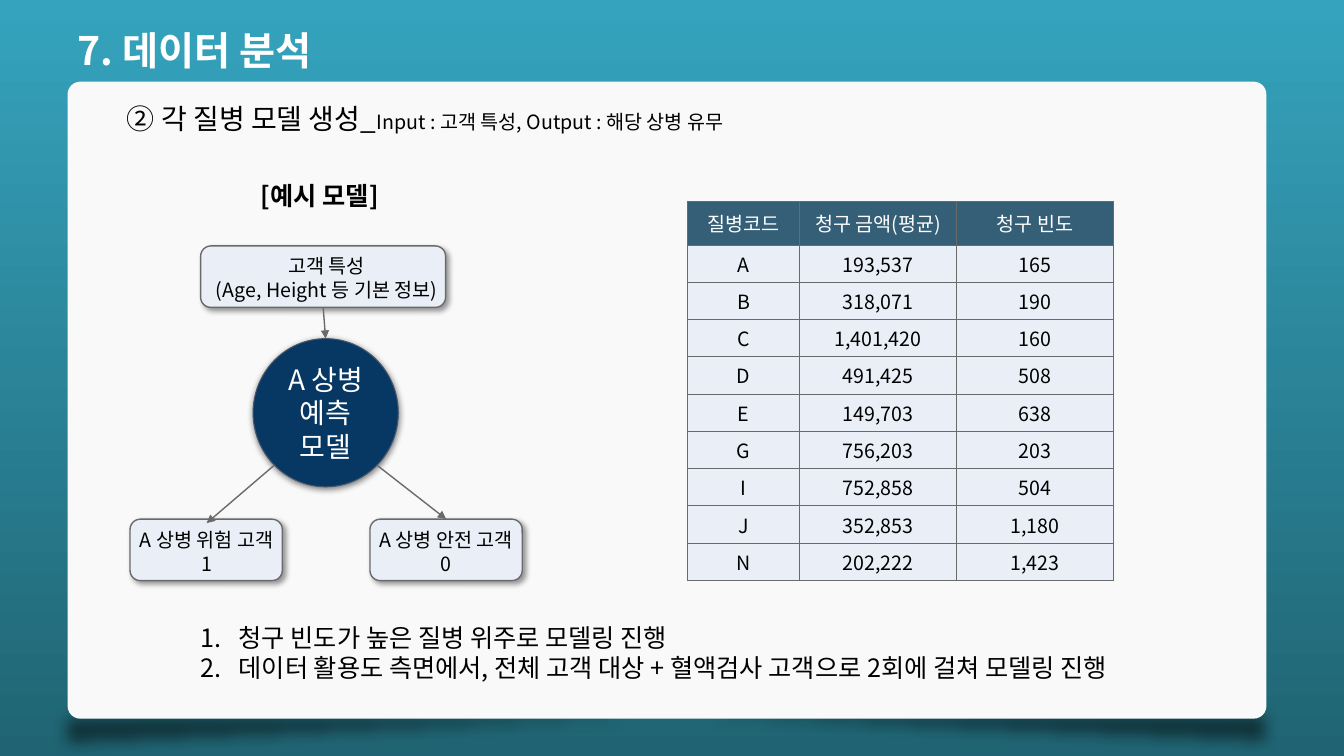
"""Builds the data analysis slide: an example disease model beside a table of claims."""
from lxml import etree
from pptx import Presentation
from pptx.dml.color import RGBColor
from pptx.enum.shapes import MSO_CONNECTOR, MSO_SHAPE
from pptx.enum.text import MSO_ANCHOR, MSO_AUTO_SIZE, PP_ALIGN
from pptx.oxml import parse_xml
from pptx.oxml.ns import nsdecls, qn
from pptx.util import Inches, Pt

FONT = "Noto Sans CJK KR"
COLORS = {name: RGBColor.from_string(value) for name, value in {
    "sky": "35A3BD", "deep": "206473", "card": "F9F9F9", "pale": "EAEFF7",
    "grey": "6A6A6A", "slate": "44546A", "navy": "073763", "header": "355F77",
    "black": "000000", "white": "FFFFFF"}.items()}

deck = Presentation()
deck.slide_width, deck.slide_height = Inches(13.33), Inches(7.5)
slide = deck.slides.add_slide(deck.slide_layouts[5])
shapes = slide.shapes


def share(left, top, width, height):
    """Turn percentages of the slide's size into lengths."""
    across, down = deck.slide_width / 100, deck.slide_height / 100
    return [round(n) for n in (left * across, top * down, width * across, height * down)]


def write(frame, paragraphs, color="black", bold=False, align=PP_ALIGN.LEFT):
    """Fill a text frame with paragraphs, each a list of (text, size) runs."""
    frame.word_wrap = True
    for index, runs in enumerate(paragraphs):
        paragraph = frame.add_paragraph() if index else frame.paragraphs[0]
        paragraph.alignment = align
        for text, size in runs:
            run = paragraph.add_run()
            run.text = text
            run.font.size, run.font.bold, run.font.name = Pt(size), bold, FONT
            run.font.color.rgb = COLORS[color]
            etree.SubElement(run.font._element, qn("a:ea"), typeface=FONT)


backdrop = slide.background.fill
backdrop.gradient()
backdrop.gradient_angle = 270
for stop, tone, position in zip(backdrop.gradient_stops, ("sky", "deep"), (0, 1)):
    stop.color.rgb, stop.position = COLORS[tone], position

SOFT = '<a:softEdge rad="127000"/>'
SHADOW = ('<a:outerShdw blurRad="{}" dist="{}" dir="{}" algn="bl" rotWithShape="0">'
          '<a:srgbClr val="000000"><a:alpha val="{}"/></a:srgbClr></a:outerShdw>')
BOX_SHADOW = SHADOW.format(Pt(4), Pt(3), 45 * 60000, 40000)
CIRCLE_SHADOW = SHADOW.format(Pt(4.5), Pt(1.5), 90 * 60000, 50000)

ROUND = MSO_SHAPE.ROUNDED_RECTANGLE
drawn = []
for kind, area, fill, line, weight, effect in (
        (MSO_SHAPE.RIGHT_TRIANGLE, (4.88, 93.07, 90.17, 6.67), "black", None, 0, SOFT),
        (MSO_SHAPE.RIGHT_TRIANGLE, (4.05, 93.33, 90.17, 6.67), "black", None, 0, SOFT),
        (ROUND, (5.03, 10.8, 89.2, 84.27), "card", None, 0, ""),
        (ROUND, (9.68, 68.67, 11.33, 8.13), "pale", "grey", 1, BOX_SHADOW),
        (ROUND, (27.53, 68.67, 11.33, 8.13), "pale", "grey", 1, BOX_SHADOW),
        (ROUND, (14.93, 32.53, 18.23, 8.13), "pale", "grey", 1, BOX_SHADOW),
        (MSO_SHAPE.OVAL, (18.83, 44.8, 10.8, 19.6), "navy", "slate", 0.75, CIRCLE_SHADOW)):
    shape = shapes.add_shape(kind, *share(*area))
    shape.fill.solid()
    shape.fill.fore_color.rgb = COLORS[fill]
    if line:
        shape.line.color.rgb, shape.line.width = COLORS[line], Pt(weight)
    else:
        shape.line.fill.background()
    shape.shadow.inherit = False
    if effect:
        shape._element.spPr.find(qn("a:effectLst")).append(
            parse_xml(effect.replace(" ", f" {nsdecls('a')} ", 1)))
    drawn.append(shape)
right_shade, left_shade, card, risk_box, safe_box, traits_box, model = drawn

card.adjustments[0] = 0.02
right_shade._element.spPr.xfrm.set("flipH", "1")
for shade in (right_shade, left_shade):
    shade._element.spPr.xfrm.set("flipV", "1")
    shade_color = shade._element.spPr.find(qn("a:solidFill"))[0]
    etree.SubElement(shade_color, qn("a:alpha"), val="51000")

title = shapes.title
title.left, title.top, title.width, title.height = share(5.03, 2.8, 56.41, 7.6)
title.text_frame.vertical_anchor = MSO_ANCHOR.TOP
write(title.text_frame, [[("7. 데이터 분석", 28)]], "white", True)

model.text_frame.vertical_anchor = MSO_ANCHOR.MIDDLE
for side in ("left", "right", "top", "bottom"):
    setattr(model.text_frame, f"margin_{side}", Inches(0.1))
write(model.text_frame, [[("A 상병 예측 모델", 20)]], "white", align=PP_ALIGN.CENTER)

labels = []
for area, paragraphs, bold, align in (
        ((8.7, 12.8, 70.29, 5.87),
         [[("② 각 질병 모델 생성_", 20), ("Input : 고객 특성, Output : 해당 상병 유무", 14)]],
         False, PP_ALIGN.LEFT),
        ((18.68, 23.2, 11.25, 5.33), [[("[예시 모델]", 18)]], True, PP_ALIGN.LEFT),
        ((11.48, 32.93, 25.66, 7.6),
         [[("고객 특성", 14)], [("(Age, Height 등 기본 정보)", 14)]], False, PP_ALIGN.CENTER),
        ((8.7, 69.2, 13.35, 7.6), [[("A 상병 위험 고객", 14)], [("1", 14)]],
         False, PP_ALIGN.CENTER),
        ((26.41, 69.2, 13.58, 7.6), [[("A 상병 안전 고객", 14)], [("0", 14)]],
         False, PP_ALIGN.CENTER),
        ((14.18, 81.6, 76.37, 9.47),
         [[("청구 빈도가 높은 질병 위주로 모델링 진행", 18)],
          [("데이터 활용도 측면에서, 전체 고객 대상 + 혈액검사 고객으로 2회에 걸쳐 모델링 진행", 18)]],
         False, PP_ALIGN.LEFT)):
    label = shapes.add_textbox(*share(*area))
    write(label.text_frame, paragraphs, bold=bold, align=align)
    label.text_frame.auto_size = MSO_AUTO_SIZE.SHAPE_TO_FIT_TEXT
    labels.append(label)
subtitle, example, traits, risk, safe, conclusions = labels

for conclusion in conclusions.text_frame.paragraphs:
    properties = conclusion._p.get_or_add_pPr()
    properties.set("marL", str(Inches(0.38)))
    properties.set("indent", str(-Inches(0.38)))
    etree.SubElement(properties, qn("a:buFont"), typeface=FONT)
    etree.SubElement(properties, qn("a:buAutoNum"), type="arabicPeriod")

DIAGONAL = 0.5 ** 1.5
middle_x, middle_y = model.left + model.width / 2, model.top + model.height / 2
exit_y = round(middle_y + DIAGONAL * model.height)
arrows = [shapes.add_connector(MSO_CONNECTOR.STRAIGHT, round(middle_x + turn * model.width),
                               exit_y, 0, 0) for turn in (0, -DIAGONAL, DIAGONAL)]
arrows[0].begin_connect(traits_box, 2)
for arrow, target in zip(arrows, (model, risk, safe_box)):
    arrow.end_connect(target, 0)
    arrow.line.color.rgb, arrow.line.width = COLORS["grey"], Pt(1)
    etree.SubElement(arrow.line._get_or_add_ln(), qn("a:tailEnd"), type="triangle")
    etree.SubElement(arrow._element.spPr, qn("a:effectLst"))

claims = [
    ("질병코드", "청구 금액(평균)", "청구 빈도"),
    ("A", "193,537", "165"), ("B", "318,071", "190"), ("C", "1,401,420", "160"),
    ("D", "491,425", "508"), ("E", "149,703", "638"), ("G", "756,203", "203"),
    ("I", "752,858", "504"), ("J", "352,853", "1,180"), ("N", "202,222", "1,423")]
table = shapes.add_table(len(claims), 3, *share(51.16, 26.67, 31.66, 50.1)).table
for column, width in zip(table.columns, (8.33, 11.7, 11.63)):
    column.width = round(deck.slide_width * width / 100)
for index, entries in enumerate(claims):
    table.rows[index].height = round(deck.slide_height * (0.0493 if index else 0.0573))
    for cell, entry in zip(table.rows[index].cells, entries):
        cell.vertical_anchor = MSO_ANCHOR.MIDDLE
        cell.margin_left = cell.margin_right = Inches(0.02)
        cell.margin_top = cell.margin_bottom = Inches(0.02)
        cell.fill.solid()
        cell.fill.fore_color.rgb = COLORS["pale" if index else "header"]
        write(cell.text_frame, [[(entry, 14)]], "black" if index else "white",
              align=PP_ALIGN.CENTER)
        for order, edge in enumerate(("lnL", "lnR", "lnT", "lnB")):
            cell._tc.tcPr.insert(order, parse_xml(
                f'<a:{edge} {nsdecls("a")} w="{Pt(0.5)}"><a:solidFill>'
                f'<a:srgbClr val="{COLORS["grey"]}"/></a:solidFill></a:{edge}>'))

deck.save("out.pptx")
